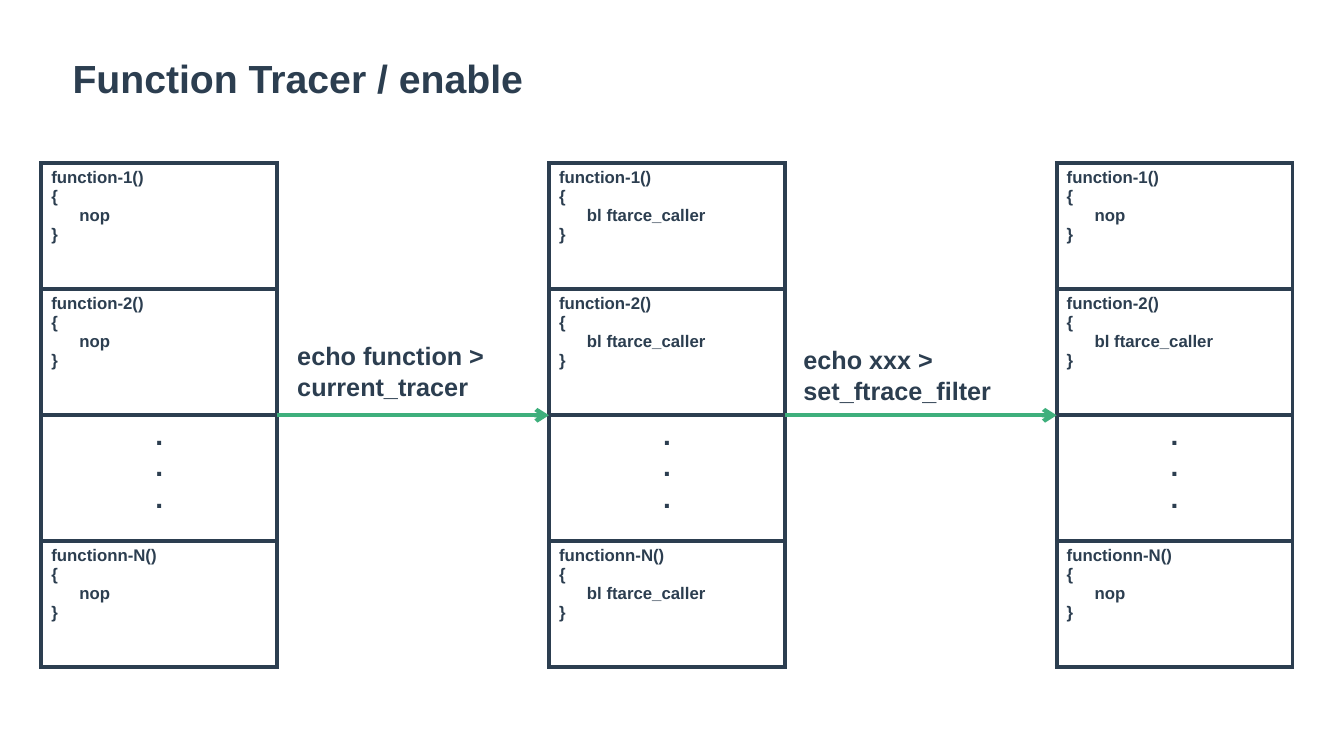
import pptx
import pptx.util
import pptx.dml.color
import pptx.enum.shapes
import pptx.enum.text
import pptx.oxml
import pptx.oxml.ns

Inches, Pt = pptx.util.Inches, pptx.util.Pt
RGB = pptx.dml.color.RGBColor.from_string
ALIGN = pptx.enum.text.PP_ALIGN
THEME = dict(font="Arial", ink="2C3E50", arrow="3EAF7C", line=3,
             title=28, label=18, code=12, dots=20)

# Grid: three equally spaced tables of four rows
LEFT, TOP, STEP = 0.41, 1.62, 5.035
COL_W, ROW_H, ROWS = 2.34, 1.25, 4
NS = pptx.oxml.ns.nsdecls("a")


def write(tf, text, size, align=ALIGN.LEFT):
    """Fill a text frame, one paragraph per line of text."""
    for i, line in enumerate(text.split("\n")):
        p = tf.paragraphs[0] if i == 0 else tf.add_paragraph()
        p.alignment = align
        r = p.add_run()
        r.text = line
        r.font.name = THEME["font"]
        r.font.size = Pt(size)
        r.font.bold = True
        r.font.color.rgb = RGB(THEME["ink"])


def add_borders(cell):
    """Draw all four sides of a cell."""
    tcPr = cell._tc.get_or_add_tcPr()
    for i, side in enumerate("LRTB"):
        tcPr.insert(i, pptx.oxml.parse_xml(
            f'<a:ln{side} {NS} w="{Pt(THEME["line"])}"><a:solidFill>'
            f'<a:srgbClr val="{THEME["ink"]}"/></a:solidFill></a:ln{side}>'))


prs = pptx.Presentation()
prs.slide_width, prs.slide_height = Inches(13.33), Inches(7.5)
s = prs.slides.add_slide(prs.slide_layouts[5])

# Title
sp = s.shapes.title
sp.left, sp.top, sp.width, sp.height = map(Inches, (0.62, 0.49, 5.49, 0.57))
sp.text_frame.vertical_anchor = pptx.enum.text.MSO_ANCHOR.MIDDLE
write(sp.text_frame, "Function Tracer / enable", THEME["title"])

# Function tables: what each function calls in each state
NOP, CALL = "nop", "bl ftarce_caller"
NAMES = ["function-1", "function-2", None, "functionn-N"]
STATES = [(NOP, NOP, None, NOP), (CALL, CALL, None, CALL), (NOP, CALL, None, NOP)]
for col, bodies in enumerate(STATES):
    table = s.shapes.add_table(ROWS, 1, Inches(LEFT + col * STEP), Inches(TOP),
                               Inches(COL_W), Inches(ROWS * ROW_H)).table
    table.first_row = table.horz_banding = False
    for row, (name, body) in enumerate(zip(NAMES, bodies)):
        table.rows[row].height = Inches(ROW_H)
        cell = table.cell(row, 0)
        cell.fill.background()
        add_borders(cell)
        if name:
            write(cell.text_frame, f"{name}()\n{{\n      {body}\n}}", THEME["code"])
        else:
            write(cell.text_frame, ".\n.\n.", THEME["dots"], ALIGN.CENTER)

# Arrows between neighbouring tables
y = Inches(TOP + ROWS * ROW_H / 2)
for col in range(len(STATES) - 1):
    x = LEFT + col * STEP
    line = s.shapes.add_connector(pptx.enum.shapes.MSO_CONNECTOR.STRAIGHT,
                                  Inches(x + COL_W), y, Inches(x + STEP), y)
    line.line.color.rgb = RGB(THEME["arrow"])
    line.line.width = Pt(THEME["line"])
    line.line._get_or_add_ln().append(
        pptx.oxml.parse_xml(f'<a:tailEnd {NS} type="arrow"/>'))
    line._element.spPr.append(pptx.oxml.parse_xml(f"<a:effectLst {NS}/>"))

# Commands above the arrows
for text, x, top, width in [
        ("echo function >\ncurrent_tracer", 2.85, 3.33, 2.5),
        ("echo xxx >\nset_ftrace_filter", 7.87, 3.37, 2.42)]:
    tf = s.shapes.add_textbox(*map(Inches, (x, top, width, 0.71))).text_frame
    tf.word_wrap = True
    write(tf, text, THEME["label"])

prs.save("out.pptx")
